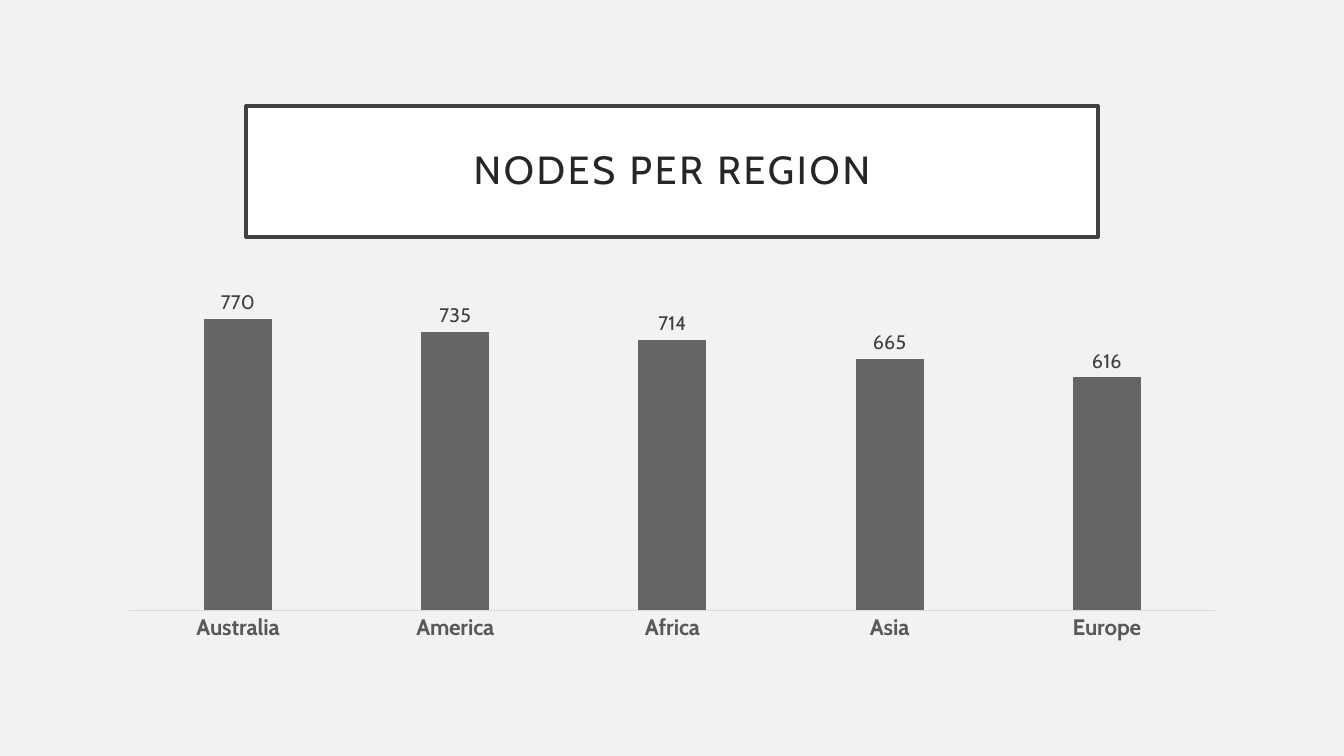
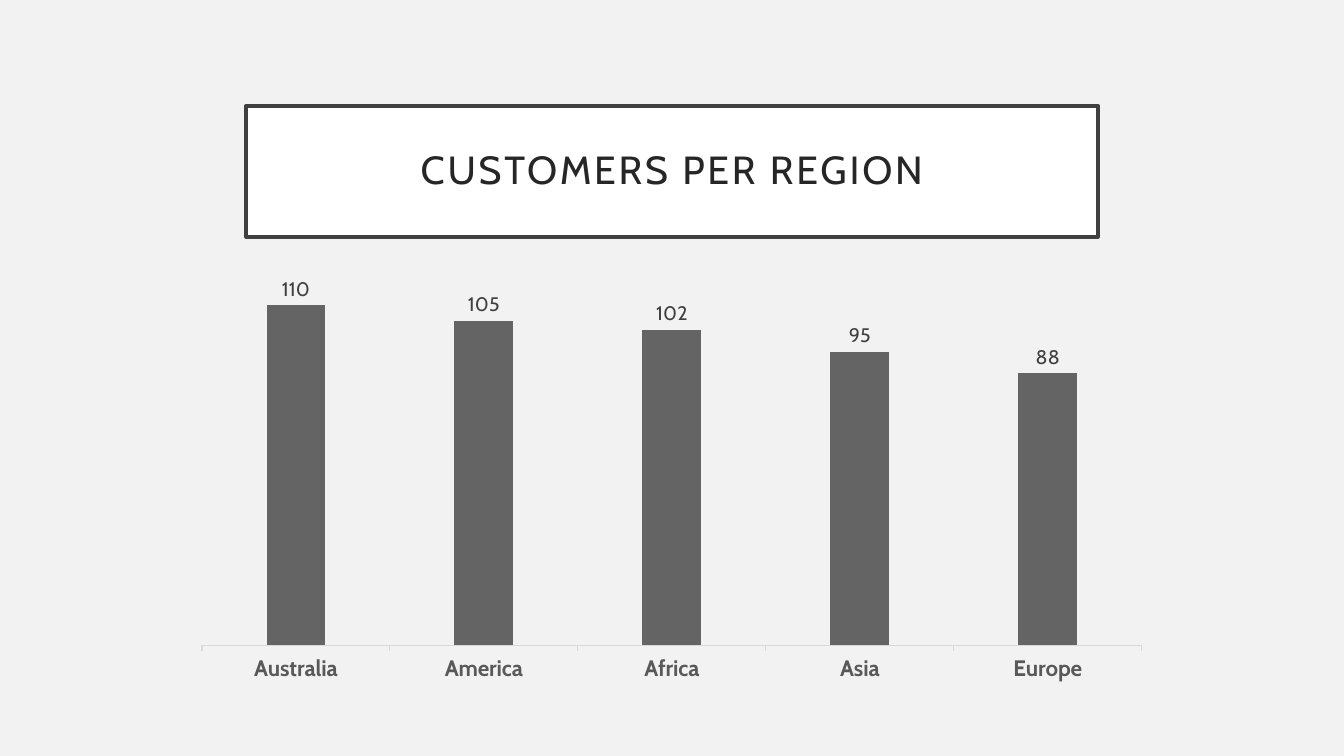
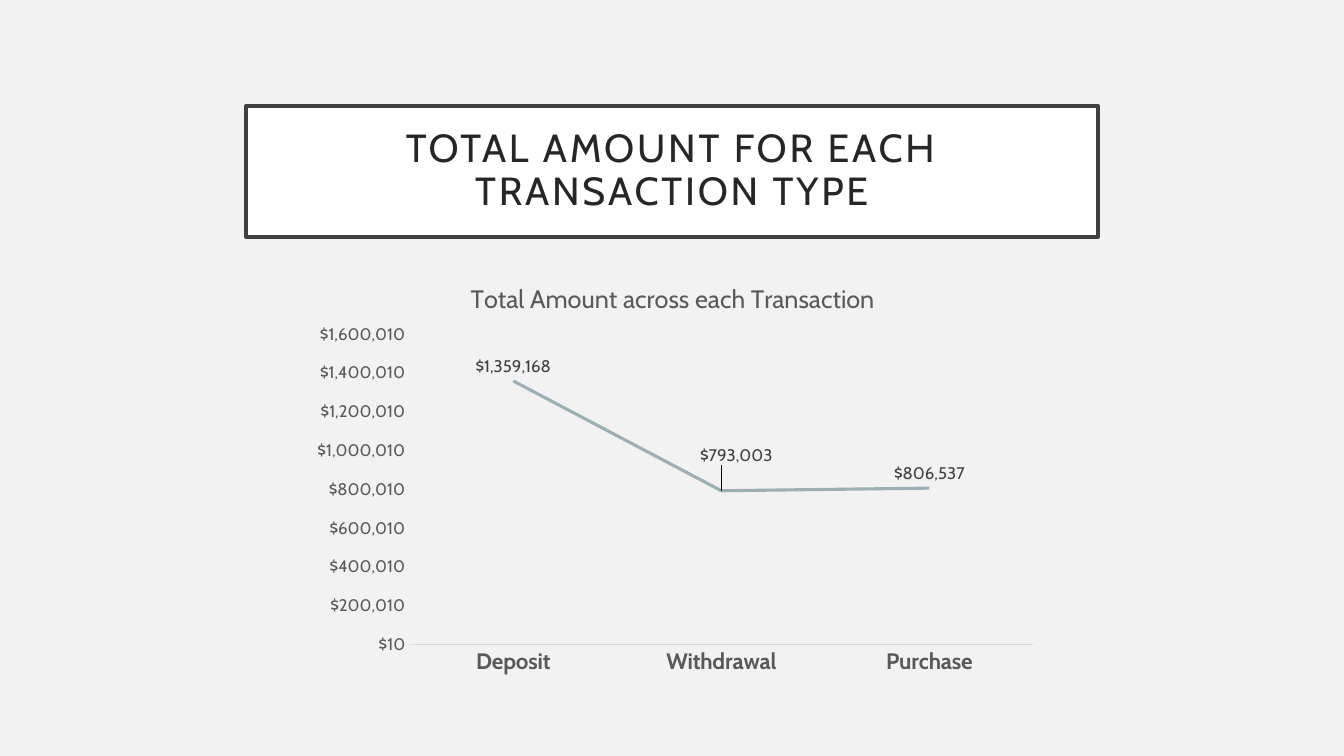
from lxml.etree import SubElement
from pptx import Presentation
from pptx.chart.data import CategoryChartData
from pptx.dml.color import RGBColor
from pptx.enum.chart import XL_CHART_TYPE as Kind, XL_LABEL_POSITION as Pos
from pptx.enum.chart import XL_MARKER_STYLE as Marker, XL_TICK_MARK as Tick
from pptx.enum.shapes import MSO_SHAPE as Shape
from pptx.enum.text import MSO_ANCHOR as Anchor, PP_ALIGN as Align
from pptx.oxml import parse_xml
from pptx.oxml.ns import nsdecls, qn
from pptx.util import Inches, Pt

FONT = "Cabin"
MONEY = "$#,##0"
COLORS = {
    "back": "F2F2F2", "box": "FFFFFF", "frame": "404040", "title": "262626",
    "axis": "595959", "rule": "D9D9D9", "label": "404040", "text": "000000",
    "nodes": "656565", "buyers": "646464", "amount": "9BAFB5",
}
REGIONS = ["Australia", "America", "Africa", "Asia", "Europe"]

# "area" is the inner plot as fractions of the chart: left, top, width, height
SLIDES = [
    {"title": "NODES PER REGION", "kind": Kind.COLUMN_CLUSTERED,
     "cats": REGIONS, "vals": [770, 735, 714, 665, 616],
     "at": (1.06, 2.6, 11.22, 3.84), "area": (0.02, 0.02, 0.96, 0.88),
     "color": "nodes", "scale": (0, 900, 100), "tick": Tick.NONE},
    {"title": "CUSTOMERS PER REGION", "kind": Kind.COLUMN_CLUSTERED,
     "cats": REGIONS, "vals": [110, 105, 102, 95, 88],
     "at": (1.81, 2.64, 9.71, 4.18), "area": (0.02, 0.02, 0.96, 0.88),
     "color": "buyers", "scale": (0, 120, 20), "tick": Tick.OUTSIDE},
    {"title": "TOTAL AMOUNT FOR EACH TRANSACTION TYPE", "kind": Kind.LINE,
     "cats": ["Deposit", "Withdrawal", "Purchase"],
     "vals": [1359168, 793003, 806537],
     "at": (2.94, 2.61, 7.46, 4.16), "area": (0.15, 0.17, 0.83, 0.74),
     "color": "amount", "scale": (10, 1600010, 200000), "tick": Tick.NONE,
     "head": "Total Amount across each Transaction"},
]


def rgb(name):
    return RGBColor.from_string(COLORS[name])


def style(font, size, color, bold=False):
    font.name, font.size, font.bold = FONT, Pt(size), bold
    font.color.rgb = rgb(color)


def layout(**parts):
    """Return a manual chart layout element."""
    root = parse_xml(f"<c:layout {nsdecls('c')}><c:manualLayout/></c:layout>")
    for tag, val in parts.items():
        SubElement(root[0], qn("c:" + tag)).set("val", str(val))
    return root


def add_title(slide, text):
    box = slide.shapes.add_shape(
        Shape.RECTANGLE, *map(Inches, (2.44, 1.05, 8.45, 1.3)))
    box.shadow.inherit = False
    box.fill.solid()
    box.fill.fore_color.rgb = rgb("box")
    box.line.color.rgb = rgb("frame")
    box.line.width = Pt(2.5)
    frame = box.text_frame
    frame.word_wrap = True
    frame.vertical_anchor = Anchor.MIDDLE
    frame.margin_left = frame.margin_right = Inches(0.2)
    frame.margin_top = frame.margin_bottom = Inches(0.2)
    para = frame.paragraphs[0]
    para.alignment, para.line_spacing = Align.CENTER, 0.9
    run = para.add_run()
    run.text = text
    style(run.font, 28, "title")
    run.font._element.set("spc", "200")


def set_axes(chart, item):
    cat, val = chart.category_axis, chart.value_axis
    cat.major_tick_mark = item["tick"]
    cat.minor_tick_mark = Tick.NONE
    cat.format.line.color.rgb = rgb("rule")
    cat.format.line.width = Pt(0.75)
    style(cat.tick_labels.font, 16, "axis", True)
    val.has_major_gridlines = False
    val.minimum_scale, val.maximum_scale, val.major_unit = item["scale"]
    val.visible = item["kind"] == Kind.LINE
    if val.visible:
        val.major_tick_mark = val.minor_tick_mark = Tick.NONE
        val.format.line.fill.background()
        style(val.tick_labels.font, 12, "axis")
        val.tick_labels.number_format = MONEY
        val.tick_labels.number_format_is_linked = False


def set_labels(series, size, pos, form):
    labels = series.data_labels
    labels.show_value = True
    labels.position = pos
    labels.number_format = form
    labels.number_format_is_linked = False
    style(labels.font, size, "label")


def shift_label(series, index, x, y, form):
    """Move one point's label by fractions of the chart."""
    label = series.points[index].data_label
    label.position = Pos.ABOVE
    style(label.font, 12, "label")
    node = series.data_labels._element.find(qn("c:dLbl"))
    node.insert(1, layout(x=x, y=y))
    node.insert(2, parse_xml(
        f'<c:numFmt {nsdecls("c")} formatCode="{form}" sourceLinked="0"/>'))


def add_graph(slide, item):
    line = item["kind"] == Kind.LINE
    form = MONEY if line else "General"
    data = CategoryChartData(number_format=form)
    data.categories = item["cats"]
    data.add_series("Series 1", item["vals"])
    chart = slide.shapes.add_chart(
        item["kind"], *map(Inches, item["at"]), data).chart
    style(chart.font, 10, "text")
    chart.has_legend = False
    chart.has_title = "head" in item
    if chart.has_title:
        frame = chart.chart_title.text_frame
        frame.text = item["head"]
        style(frame.paragraphs[0].font, 18, "axis")
        chart.chart_title.include_in_layout = False
    set_axes(chart, item)

    plot = chart.plots[0]
    plot.vary_by_categories = False
    series = plot.series[0]
    if line:
        series.smooth = False
        series.marker.style = Marker.NONE
        series.format.line.color.rgb = rgb(item["color"])
        series.format.line.width = Pt(2.25)
        set_labels(series, 12, Pos.ABOVE, form)
        shift_label(series, 1, 0.02, -0.05, form)
    else:
        plot.gap_width, plot.overlap = 219, -27
        series.format.fill.solid()
        series.format.fill.fore_color.rgb = rgb(item["color"])
        set_labels(series, 14, Pos.OUTSIDE_END, form)

    area = chart._chartSpace.chart.plotArea
    for old in area.findall(qn("c:layout")):
        area.remove(old)
    x, y, w, h = item["area"]
    area.insert(0, layout(layoutTarget="inner", xMode="edge", yMode="edge",
                          x=x, y=y, w=w, h=h))


def main():
    deck = Presentation()
    deck.slide_width, deck.slide_height = Inches(13.33), Inches(7.5)
    back = deck.slide_master.background.fill
    back.solid()
    back.fore_color.rgb = rgb("back")
    for item in SLIDES:
        slide = deck.slides.add_slide(deck.slide_layouts[6])
        add_title(slide, item["title"])
        add_graph(slide, item)
    deck.save("out.pptx")


if __name__ == "__main__":
    main()
